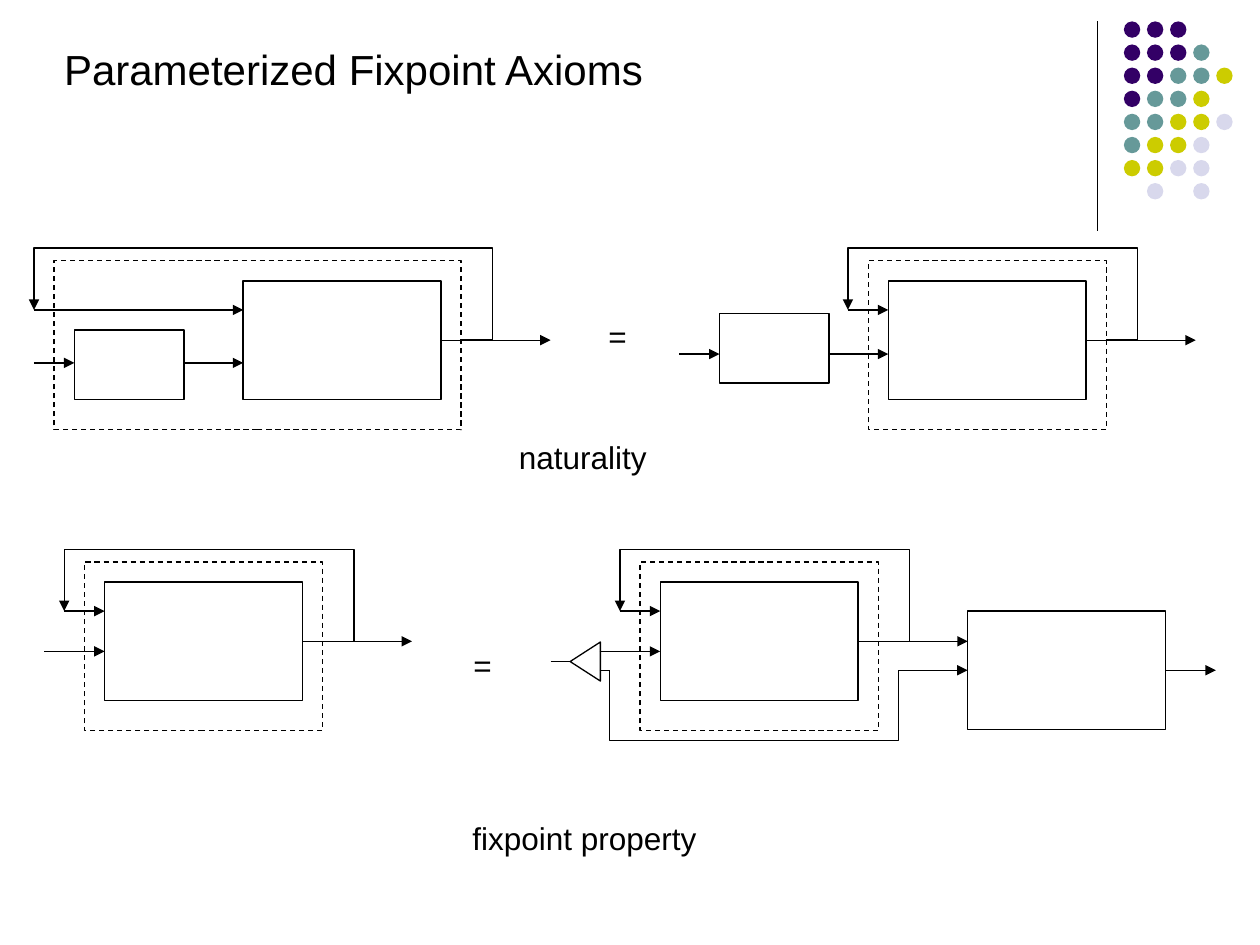
from lxml import etree
from pptx import Presentation
from pptx.dml.color import RGBColor
from pptx.enum.dml import MSO_LINE
from pptx.enum.shapes import MSO_CONNECTOR, MSO_SHAPE
from pptx.enum.text import MSO_AUTO_SIZE
from pptx.oxml.ns import qn
from pptx.util import Inches, Pt

STRAIGHT, ELBOW = MSO_CONNECTOR.STRAIGHT, MSO_CONNECTOR.ELBOW
RECTANGLE, OVAL = MSO_SHAPE.RECTANGLE, MSO_SHAPE.OVAL
TRIANGLE = MSO_SHAPE.FLOWCHART_EXTRACT
DASH = MSO_LINE.DASH
FIT_SHAPE = MSO_AUTO_SIZE.SHAPE_TO_FIT_TEXT

FONT = "Arial"
BLACK = "000000"
DOT_COLORS = {"P": "330066", "T": "669999", "Y": "CCCC00", "L": "D8D8EC"}
DOT_ROWS = ["PPP", "PPPT", "PPTTY", "PTTY", "TTYYL", "TYYL", "YYLL", " L L"]
DOT_PITCH = 0.55 / 3
DOT_SIZE = 0.13

BLOCK_W, BLOCK_H = 1.57, 0.94
SMALL_W, SMALL_H = 0.87, 0.55
FRAME_H = 1.34
GAP = 0.16        # between a dashed frame and what is next to it
STUB = 0.32       # short input arrow
OUTPUT = 0.87     # long output arrow
FEEDBACK_Y = 0.39
OUTPUT_Y = 0.63


def rgb(hex_color):
    return RGBColor.from_string(hex_color)


def add_outline(slide, box, kind=RECTANGLE, dash=None):
    shape = slide.shapes.add_shape(kind, *map(Inches, box))
    shape.shadow.inherit = False
    shape.fill.background()
    shape.line.color.rgb = rgb(BLACK)
    shape.line.width = Pt(0.75)
    if dash:
        shape.line.dash_style = dash
    return shape


def add_wire(slide, start, end, arrow=True, bend=None, adjustments=()):
    """Draw a straight wire, or an elbow of the preset geometry named by bend."""
    wire = slide.shapes.add_connector(
        ELBOW if bend else STRAIGHT, *map(Inches, (*start, *end)))
    wire.line.color.rgb = rgb(BLACK)
    wire.line.width = Pt(0.75)
    properties = wire._element.spPr
    if arrow:
        etree.SubElement(wire.line._get_or_add_ln(), qn("a:tailEnd"), type="triangle")
    etree.SubElement(properties, qn("a:effectLst"))
    if bend:
        geometry = properties.find(qn("a:prstGeom"))
        geometry.set("prst", bend)
        guides = geometry.find(qn("a:avLst"))
        for number, value in enumerate(adjustments, 1):
            etree.SubElement(guides, qn("a:gd"), name=f"adj{number}",
                             fmla=f"val {round(value * 100000)}")


def add_label(slide, box, text, size=18):
    label = slide.shapes.add_textbox(*map(Inches, box))
    frame = label.text_frame
    frame.word_wrap = False
    frame.auto_size = FIT_SHAPE
    run = frame.paragraphs[0].add_run()
    run.text = text
    run.font.name = FONT
    run.font.size = Pt(size)
    run.font.color.rgb = rgb(BLACK)


def add_dot_ornament(slide, left, top):
    add_wire(slide, (left, top), (left, top + 1.66), arrow=False)
    for row, codes in enumerate(DOT_ROWS):
        for column, code in enumerate(codes):
            if code not in DOT_COLORS:
                continue
            dot = slide.shapes.add_shape(
                OVAL, Inches(left + 0.21 + column * DOT_PITCH),
                Inches(top + row * DOT_PITCH), Inches(DOT_SIZE), Inches(DOT_SIZE))
            dot.shadow.inherit = False
            dot.fill.solid()
            dot.fill.fore_color.rgb = rgb(DOT_COLORS[code])
            dot.line.fill.background()


def add_fixpoint(slide, left, top, width=1.89):
    """Draw a framed block with output and feedback; return the block's left edge."""
    right = left + width
    block_right = right - GAP
    block_left = block_right - BLOCK_W
    output_y, feedback_y = top + OUTPUT_Y, top + FEEDBACK_Y
    feedback_x = left - GAP
    add_outline(slide, (block_left, top + GAP, BLOCK_W, BLOCK_H))
    add_wire(slide, (block_right, output_y), (block_right + OUTPUT, output_y))
    add_wire(slide, (feedback_x, feedback_y), (block_left, feedback_y))
    add_wire(slide, (right, output_y), (feedback_x, feedback_y), bend="bentConnector4",
             adjustments=(-0.25 / (width + GAP),
                          (OUTPUT_Y + 0.1) / (OUTPUT_Y - FEEDBACK_Y)))
    add_outline(slide, (left, top, width, FRAME_H), dash=DASH)
    return block_left


def add_parameter(slide, left, top, input_y, target_x):
    """Draw the small block that feeds a parameter to the block at target_x."""
    add_outline(slide, (left, top, SMALL_W, SMALL_H))
    add_wire(slide, (left - STUB, input_y), (left, input_y))
    add_wire(slide, (left + SMALL_W, input_y), (target_x, input_y))


def add_naturality(slide, top):
    block_left = add_fixpoint(slide, 0.43, top, 3.23)
    add_parameter(slide, 0.59, top + 0.55, top + 0.81, block_left)
    add_label(slide, (4.73, top + 0.4, 0.34, 0.4), "=")
    block_left = add_fixpoint(slide, 6.89, top)
    add_parameter(slide, 5.71, top + 0.42, top + 0.74, block_left)
    add_label(slide, (4.02, top + 1.36, 1.23, 0.4), "naturality")


def add_fixpoint_property(slide, top):
    input_y, copy_y, lower_y = top + 0.71, top + 0.79, top + 0.86
    bottom_y = top + 1.42

    block_left = add_fixpoint(slide, 0.67, top)
    add_wire(slide, (block_left - 0.48, input_y), (block_left, input_y))
    add_label(slide, (3.66, top + 0.62, 0.34, 0.4), "=")

    block_left = add_fixpoint(slide, 5.08, top)
    fork_x = block_left - 0.48
    add_wire(slide, (fork_x, input_y), (block_left, input_y))
    fork = add_outline(slide, (4.49, top + 0.67, 0.31, 0.24), TRIANGLE)
    fork.rotation = 270
    add_wire(slide, (4.37, copy_y), (4.53, copy_y), arrow=False)
    add_wire(slide, (fork_x, lower_y), (4.84, lower_y), arrow=False)

    outer_left = 7.68
    outer_right = outer_left + BLOCK_W
    add_outline(slide, (outer_left, top + FEEDBACK_Y, BLOCK_W, BLOCK_H))
    add_wire(slide, (6.58, bottom_y), (4.84, lower_y), arrow=False,
             bend="bentConnector2")
    add_wire(slide, (6.58, bottom_y), (outer_left, lower_y),
             bend="bentConnector3", adjustments=(0.5,))
    add_wire(slide, (outer_right, lower_y), (outer_right + 0.4, lower_y))
    add_label(slide, (3.65, top + 1.99, 1.98, 0.4), "fixpoint property")


def main():
    presentation = Presentation()
    presentation.slide_width, presentation.slide_height = Inches(10), Inches(7.5)
    slide = presentation.slides.add_slide(presentation.slide_layouts[6])
    add_dot_ornament(slide, 8.71, 0.17)
    add_label(slide, (0.41, 0.3, 4.81, 0.5), "Parameterized Fixpoint Axioms", 24)
    add_naturality(slide, 2.07)
    add_fixpoint_property(slide, 4.46)
    presentation.save("out.pptx")


if __name__ == "__main__":
    main()
